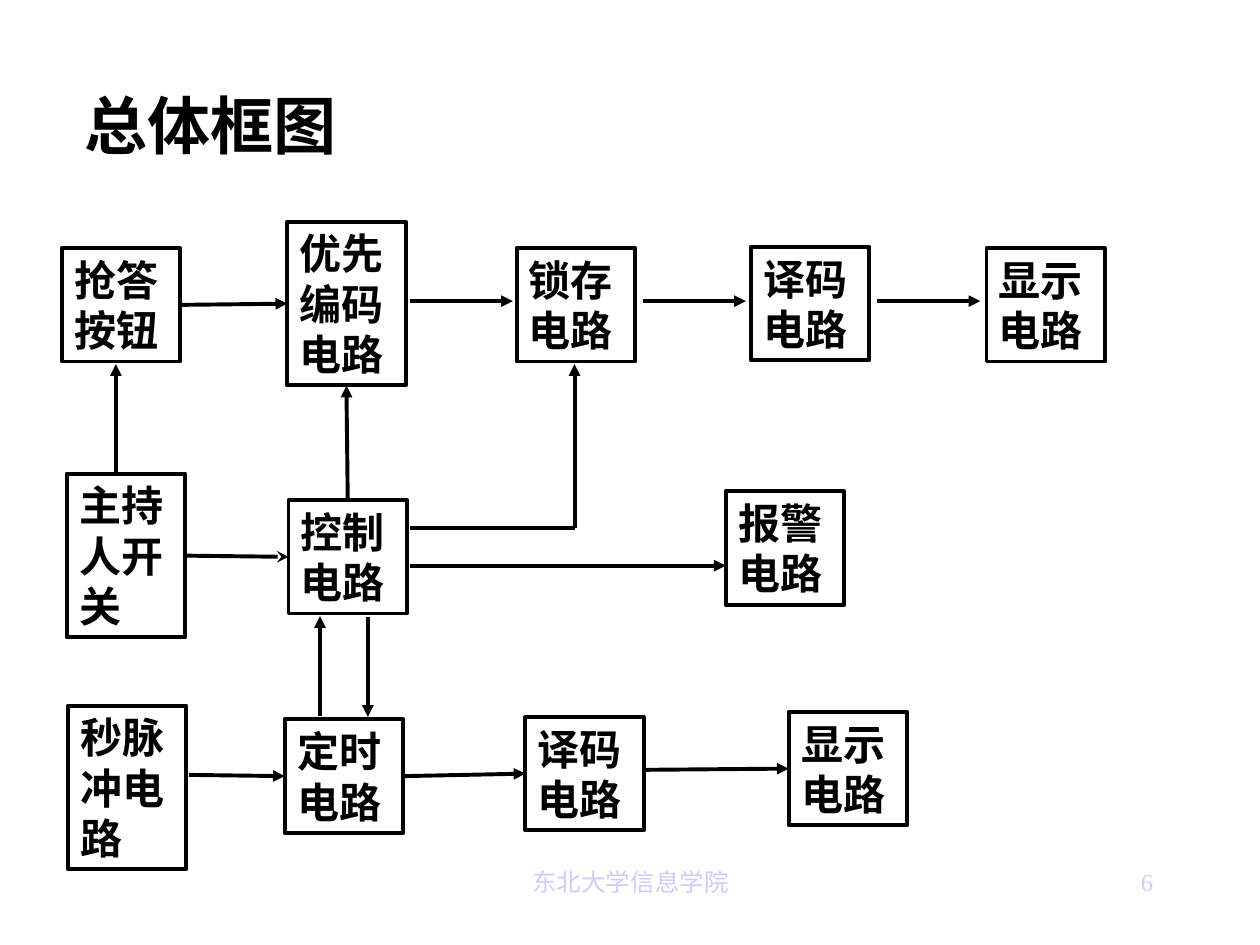
from dataclasses import dataclass

from lxml import etree
from pptx import Presentation
from pptx import util as u
from pptx.dml.color import RGBColor
from pptx.enum import shapes, text
from pptx.oxml.ns import qn


@dataclass(frozen=True)
class Theme:
    font: str = "Times New Roman"
    ink: RGBColor = RGBColor(0x00, 0x00, 0x00)
    pale: RGBColor = RGBColor(0xCC, 0xCC, 0xFF)
    title_size: float = 36
    block_size: float = 24
    footer_size: float = 14
    line_width: float = 2.25


THEME = Theme()
TOP, LEFT, BOTTOM, RIGHT = range(4)
BLOCK_WIDTH = 0.94
HEIGHT_BY_LINES = {2: 0.9, 3: 1.3}

# name: (label, left, top, lines of text)
BLOCKS = {
    "buzzer": ("抢答按钮", 0.49, 1.97, 2),
    "encoder": ("优先编码电路", 2.28, 1.76, 3),
    "latch": ("锁存电路", 4.1, 1.97, 2),
    "answer_decoder": ("译码电路", 5.96, 1.96, 2),
    "answer_display": ("显示电路", 7.83, 1.97, 2),
    "host": ("主持人开关", 0.53, 3.76, 3),
    "control": ("控制电路", 2.29, 3.97, 2),
    "alarm": ("报警电路", 5.76, 3.9, 2),
    "pulse": ("秒脉冲电路", 0.54, 5.6, 3),
    "timer": ("定时电路", 2.26, 5.71, 2),
    "time_decoder": ("译码电路", 4.17, 5.69, 2),
    "time_display": ("显示电路", 6.26, 5.65, 2),
}

# (start, end, arrowhead); an end is a point or a (block, side) pair
SIGNALS = [
    (("buzzer", RIGHT), ("encoder", LEFT), "triangle"),
    ((3.25, 2.39), (4.07, 2.39), "triangle"),
    ((5.1, 2.39), (5.92, 2.39), "triangle"),
    ((6.96, 2.39), (7.78, 2.39), "triangle"),
    ((0.92, 3.75), (0.92, 2.89), "triangle"),
    (("host", RIGHT), ("control", LEFT), "stealth"),
    ((3.25, 4.49), (5.76, 4.49), "triangle"),
    ((3.25, 4.19), (4.56, 4.19), None),
    ((4.56, 4.19), (4.56, 2.89), "triangle"),
    (("control", TOP), ("encoder", BOTTOM), "triangle"),
    ((2.54, 5.68), (2.54, 4.89), "triangle"),
    ((2.92, 4.9), (2.92, 5.69), "triangle"),
    ((1.5, 6.15), ("timer", LEFT), "triangle"),
    (("timer", RIGHT), ("time_decoder", LEFT), "triangle"),
    ((5.11, 6.11), ("time_display", LEFT), "triangle"),
]


def write(frame, wording, size, color, bold=False, before=0,
          align=text.PP_ALIGN.LEFT):
    frame.word_wrap = True
    frame.vertical_anchor = text.MSO_ANCHOR.TOP
    paragraph = frame.paragraphs[0]
    paragraph.alignment = align
    paragraph.space_before = u.Pt(before)
    run = paragraph.add_run()
    run.text = wording
    run.font.name = THEME.font
    run.font.size = u.Pt(size)
    run.font.bold = bold
    run.font.color.rgb = color


def add_block(slide, label, left, top, lines):
    block = slide.shapes.add_shape(
        shapes.MSO_SHAPE.RECTANGLE, u.Inches(left), u.Inches(top),
        u.Inches(BLOCK_WIDTH), u.Inches(HEIGHT_BY_LINES[lines]))
    block.shadow.inherit = False
    block.fill.background()
    block.line.color.rgb = THEME.ink
    block.line.width = u.Pt(THEME.line_width)
    write(block.text_frame, label, THEME.block_size, THEME.ink,
          bold=True, before=15)
    block.text_frame.auto_size = text.MSO_AUTO_SIZE.SHAPE_TO_FIT_TEXT
    return block


def add_signal(slide, blocks, start, end, head):
    signal = slide.shapes.add_connector(
        shapes.MSO_CONNECTOR.STRAIGHT, 0, 0, 0, 0)
    # Loose ends first, so that joined ends are measured against them
    if start[0] not in blocks:
        signal.begin_x, signal.begin_y = map(u.Inches, start)
    if end[0] not in blocks:
        signal.end_x, signal.end_y = map(u.Inches, end)
    if start[0] in blocks:
        signal.begin_connect(blocks[start[0]], start[1])
    if end[0] in blocks:
        signal.end_connect(blocks[end[0]], end[1])
    signal.line.color.rgb = THEME.ink
    signal.line.width = u.Pt(THEME.line_width)
    if head:
        etree.SubElement(signal.line._get_or_add_ln(), qn("a:tailEnd"), type=head)
    etree.SubElement(signal._element.spPr, qn("a:effectLst"))


def add_caption(slide, left, top, width, height, wording, size, color, **style):
    caption = slide.shapes.add_textbox(*map(u.Inches, (left, top, width, height)))
    write(caption.text_frame, wording, size, color, **style)


def main():
    prs = Presentation()
    prs.slide_width, prs.slide_height = u.Inches(10), u.Inches(7.5)
    slide = prs.slides.add_slide(prs.slide_layouts[6])

    # Circuit blocks and the signals between them
    blocks = {name: add_block(slide, *block) for name, block in BLOCKS.items()}
    for start, end, head in SIGNALS:
        add_signal(slide, blocks, start, end, head)

    # Title
    add_caption(slide, 0.57, 0.64, 2.85, 0.7, "总体框图",
                THEME.title_size, THEME.ink, bold=True, before=22.5)

    # Footer and page number
    add_caption(slide, 3.42, 6.83, 3.17, 0.5, "东北大学信息学院",
                THEME.footer_size, THEME.pale, align=text.PP_ALIGN.CENTER)
    add_caption(slide, 7.17, 6.83, 2.08, 0.5, "6",
                THEME.footer_size, THEME.pale, align=text.PP_ALIGN.RIGHT)

    prs.save("out.pptx")


if __name__ == "__main__":
    main()
